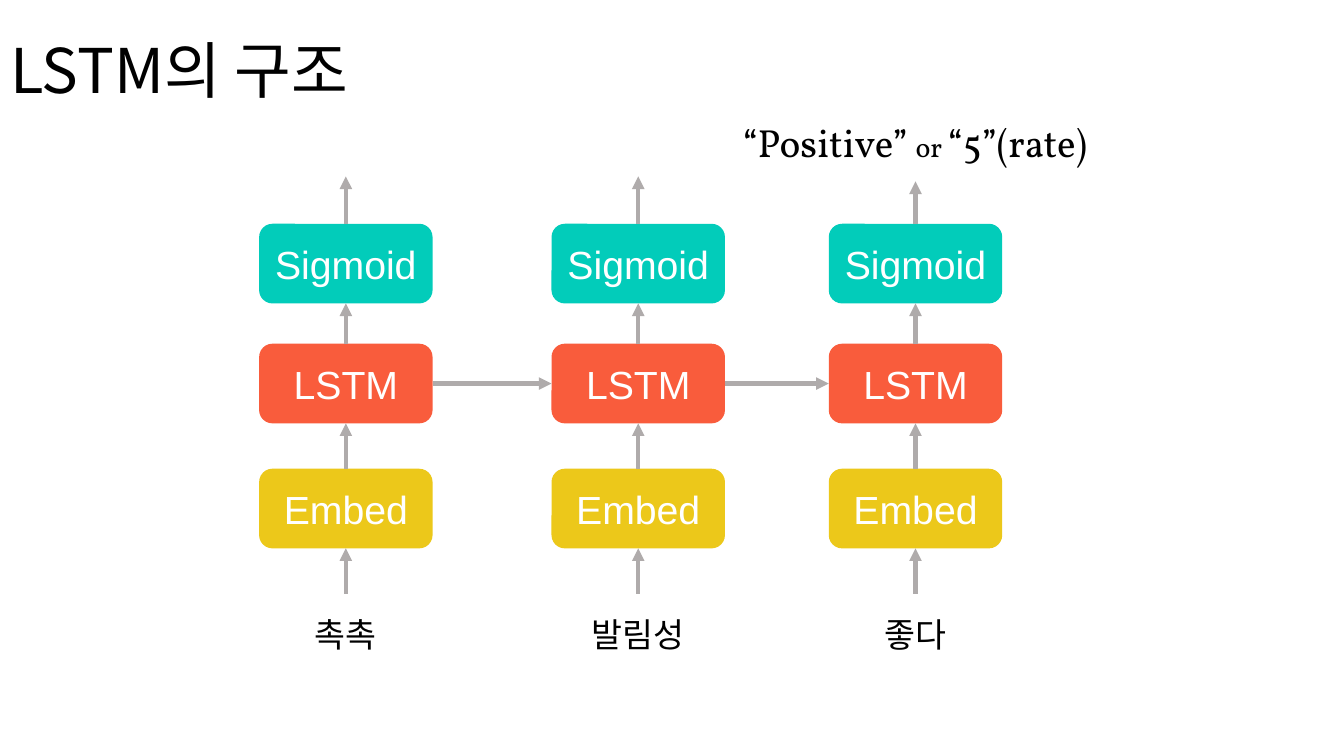
from lxml.etree import SubElement as Sub
from pptx import Presentation
from pptx.dml.color import RGBColor
from pptx.enum.shapes import MSO_CONNECTOR as Conn, MSO_SHAPE as Shape
from pptx.enum.text import MSO_ANCHOR as Anchor, PP_ALIGN as Align
from pptx.oxml.ns import qn
from pptx.util import Inches, Pt

TEAL = RGBColor(0x02, 0xCC, 0xBA)
RED = RGBColor(0xF9, 0x5C, 0x3C)
GOLD = RGBColor(0xEC, 0xC8, 0x1A)
GRAY = RGBColor(0xAF, 0xAB, 0xAB)
WHITE = RGBColor(0xFF, 0xFF, 0xFF)
BLACK = RGBColor(0, 0, 0)

WIDTH, HEIGHT = 1.72, 0.79
LEFTS = [2.57, 5.47, 8.22]
TIPS = [1.75, 1.75, 1.8]
WORDS = ["촉촉", "발림성", "좋다"]
LAYERS = [("Sigmoid", 2.22, TEAL), ("LSTM", 3.41, RED), ("Embed", 4.65, GOLD)]
BASE = 5.89


def write(shape, runs, font, color, align=Align.CENTER):
    frame = shape.text_frame
    frame.word_wrap = True
    frame.vertical_anchor = Anchor.MIDDLE
    para = frame.paragraphs[0]
    para.alignment = align
    for text, size in runs:
        run = para.add_run()
        run.text = text
        run.font.size = Pt(size)
        run.font.color.rgb = color
        run.font.name = font
        Sub(run.font._element, qn("a:ea")).set("typeface", font)


def arrow(x1, y1, x2, y2, start=None, end=None):
    line = slide.shapes.add_connector(
        Conn.STRAIGHT, Inches(x1), Inches(y1), Inches(x2), Inches(y2))
    if start:
        line.begin_connect(*start)
    if end:
        line.end_connect(*end)
    line.line.color.rgb = GRAY
    line.line.width = Pt(3)
    Sub(line.line._get_or_add_ln(), qn("a:tailEnd")).set("type", "triangle")
    Sub(line._element.spPr, qn("a:effectLst"))


deck = Presentation()
deck.slide_width, deck.slide_height = Inches(13.33), Inches(7.5)
slide = deck.slides.add_slide(deck.slide_layouts[5])

title = slide.shapes.title
title.left, title.top = Inches(0), Inches(0)
title.width, title.height = Inches(11.5), Inches(1.45)
write(title, [("LSTM의 구조", 44)], "Noto Sans CJK KR", BLACK, Align.LEFT)
title.text_frame.paragraphs[0].line_spacing = 0.9

prior = None
for left, tip, word in zip(LEFTS, TIPS, WORDS):
    mid = left + WIDTH / 2
    stack = []
    for name, top, color in LAYERS:
        box = slide.shapes.add_shape(
            Shape.ROUNDED_RECTANGLE, Inches(left), Inches(top),
            Inches(WIDTH), Inches(HEIGHT))
        box.shadow.inherit = False
        box.fill.solid()
        box.fill.fore_color.rgb = color
        box.line.fill.background()
        write(box, [(name, 28)], "Arial", WHITE)
        stack.append(box)
    gate, cell, embed = stack

    label = slide.shapes.add_textbox(
        Inches(left), Inches(BASE), Inches(WIDTH), Inches(HEIGHT))
    write(label, [(word, 24)], "Vollkorn", BLACK)

    arrow(mid, BASE, mid, 5.44, (label, 0), (embed, 2))
    arrow(mid, 4.65, mid, 4.2, (embed, 0), (cell, 2))
    arrow(mid, 3.41, mid, 3.01, (cell, 0), (gate, 2))
    arrow(mid, 2.22, mid, tip, (gate, 0))
    if prior:
        arrow(left - 1, 3.81, left, 3.81, (prior, 3), (cell, 1))
    prior = cell

result = slide.shapes.add_textbox(
    Inches(6.99), Inches(1.01), Inches(4.17), Inches(HEIGHT))
write(result, [("“Positive” ", 28), ("or ", 20), ("“5”(rate)", 28)],
      "Vollkorn", BLACK)

deck.save("out.pptx")
